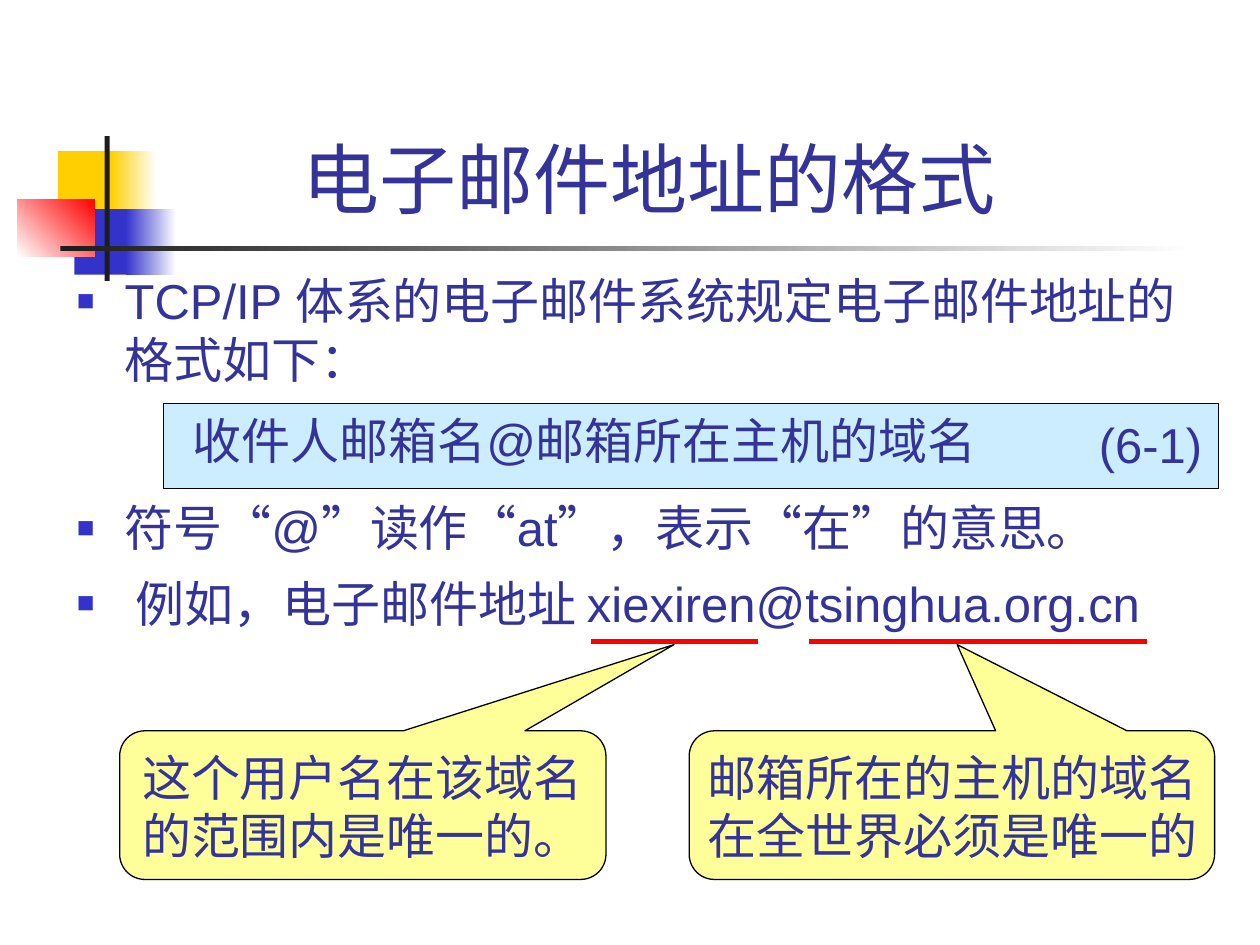
"""Build the slide that explains the format of an e-mail address."""
from lxml.etree import SubElement
from pptx import Presentation
from pptx.dml.color import RGBColor
from pptx.enum.shapes import MSO_CONNECTOR, MSO_SHAPE
from pptx.enum.text import MSO_ANCHOR, MSO_AUTO_SIZE, PP_ALIGN
from pptx.oxml.ns import qn
from pptx.util import Inches, Pt

NAVY = RGBColor(0x33, 0x33, 0x99)
BLUE = RGBColor(0x33, 0x33, 0xCC)
YELLOW = RGBColor(0xFF, 0xCF, 0x01)
RED = RGBColor(0xFF, 0x00, 0x00)
INK = RGBColor(0x1C, 0x1C, 0x1C)
BLACK = RGBColor(0x00, 0x00, 0x00)
WHITE = RGBColor(0xFF, 0xFF, 0xFF)
SKY = RGBColor(0xCC, 0xEC, 0xFF)
CREAM = RGBColor(0xFF, 0xFF, 0x99)


class SlideWriter:
    """Hold the text style and the current slide."""

    font = "Arial"
    callout_font = "Noto Sans CJK SC"
    size = 28

    def __init__(self, slide):
        self.slide = slide
        self.shapes = slide.shapes

    def place(self, shape, area):
        shape.left, shape.top, shape.width, shape.height = map(Inches, area)

    def shape(self, area, fill, fade_to=None, angle=0, outline=None, kind=MSO_SHAPE.RECTANGLE):
        shape = self.shapes.add_shape(kind, *map(Inches, area))
        shape.shadow.inherit = False
        if fade_to is None:
            shape.fill.solid()
            shape.fill.fore_color.rgb = fill
        else:
            shape.fill.gradient()
            shape.fill.gradient_angle = angle
            for stop, color in zip(shape.fill.gradient_stops, (fill, fade_to)):
                stop.color.rgb = color
        if outline is None:
            shape.line.fill.background()
        else:
            shape.line.color.rgb = outline
            shape.line.width = Pt(0.75)
        return shape

    def span(self, para, text, size=None, font=None):
        span = para.add_run()
        span.text = text
        span.font.size = Pt(size or self.size)
        span.font.name = font or self.font
        span.font.color.rgb = NAVY

    def title(self, text, area):
        box = self.shapes.title
        self.shapes.element.append(box.element)
        self.place(box, area)
        box.text_frame.vertical_anchor = MSO_ANCHOR.BOTTOM
        box.text_frame.auto_size = MSO_AUTO_SIZE.NONE
        para = box.text_frame.paragraphs[0]
        para.alignment = PP_ALIGN.CENTER
        self.span(para, text, 44)

    def body(self, area):
        box = self.slide.placeholders[1]
        self.shapes.element.append(box.element)
        self.place(box, area)
        box.text_frame.auto_size = MSO_AUTO_SIZE.NONE
        return box.text_frame

    def layout(self, para, margin, indent, before, after):
        props = para._p.get_or_add_pPr()
        props.set("marL", str(Inches(margin)))
        props.set("indent", str(Inches(indent)))
        para.line_spacing = 1.0
        para.space_before = Pt(before)
        para.space_after = Pt(after)
        return props

    def bullet(self, para, text, before=0, after=0):
        props = self.layout(para, 0.38, -0.38, before, after)
        color = SubElement(props, qn("a:buClr"))
        SubElement(color, qn("a:srgbClr"), val=str(BLUE))
        SubElement(props, qn("a:buSzPct"), val="60000")
        SubElement(props, qn("a:buFont"), typeface=self.font)
        SubElement(props, qn("a:buChar"), char="■")
        self.span(para, text)

    def formula(self, para, text):
        props = self.layout(para, 0.92, 0, 12.6, 12.6)
        SubElement(props, qn("a:buNone"))
        self.span(para, text)

    def text(self, area, lines, font=None, alignment=PP_ALIGN.LEFT):
        frame = self.shapes.add_textbox(*map(Inches, area)).text_frame
        frame.word_wrap = True
        for index, line in enumerate(lines):
            para = frame.add_paragraph() if index else frame.paragraphs[0]
            para.alignment = alignment
            self.span(para, line, font=font)

    def underline(self, left, right, top):
        line = self.shapes.add_connector(
            MSO_CONNECTOR.STRAIGHT, Inches(left), Inches(top), Inches(right), Inches(top))
        line.line.color.rgb = RED
        line.line.width = Pt(3)
        SubElement(line.element.spPr, qn("a:effectLst"))

    def callout(self, left, width, tip, text_left, text_width, lines):
        bubble = self.shape((left, 5.8, width, 1.18), CREAM, outline=BLACK,
                            kind=MSO_SHAPE.ROUNDED_RECTANGULAR_CALLOUT)
        for index, value in enumerate((tip, -1.08, 0.17)):
            bubble.adjustments[index] = value
        self.text((text_left, 5.88, text_width, 1.03), lines, self.callout_font)


def main():
    deck = Presentation()
    deck.slide_width, deck.slide_height = Inches(10), Inches(7.5)
    page = SlideWriter(deck.slides.add_slide(deck.slide_layouts[1]))

    page.shape((0.46, 1.2, 0.48, 0.52), YELLOW)
    page.shape((0.88, 1.2, 0.36, 0.52), YELLOW, WHITE)
    page.shape((0.59, 1.66, 0.46, 0.52), BLUE)
    page.shape((1, 1.66, 0.4, 0.52), BLUE, WHITE)
    page.shape((0.14, 1.58, 0.61, 0.46), WHITE, RED, 45)
    page.shape((0.83, 1.08, 0.04, 1.15), INK)
    page.shape((0.48, 1.95, 9, 0.04), INK, WHITE)
    page.shape((1.3, 3.2, 8.37, 0.68), SKY, outline=BLACK)

    page.title("电子邮件地址的格式", (0.43, 0.23, 9.45, 1.6))
    body = page.body((0.51, 2.1, 9.13, 4.96))
    page.bullet(body.paragraphs[0], "TCP/IP 体系的电子邮件系统规定电子邮件地址的格式如下：")
    page.formula(body.add_paragraph(), "收件人邮箱名@邮箱所在主机的域名")
    page.bullet(body.add_paragraph(), "符号“@”读作“at”，表示“在”的意思。", 3.5, 9.5)
    page.bullet(body.add_paragraph(), " 例如，电子邮件地址 xiexiren@tsinghua.org.cn")
    page.text((8.44, 3.24, 1.2, 0.55), ["(6-1)"], alignment=PP_ALIGN.RIGHT)

    page.underline(6.42, 9.1, 5.09)
    page.callout(5.47, 4.17, 0.01, 5.52, 4.28, ("邮箱所在的主机的域名", "在全世界必须是唯一的"))
    page.underline(4.69, 6.02, 5.09)
    page.callout(0.95, 3.86, 0.64, 1.03, 3.9, ("这个用户名在该域名", "的范围内是唯一的。"))

    deck.save("out.pptx")


if __name__ == "__main__":
    main()
